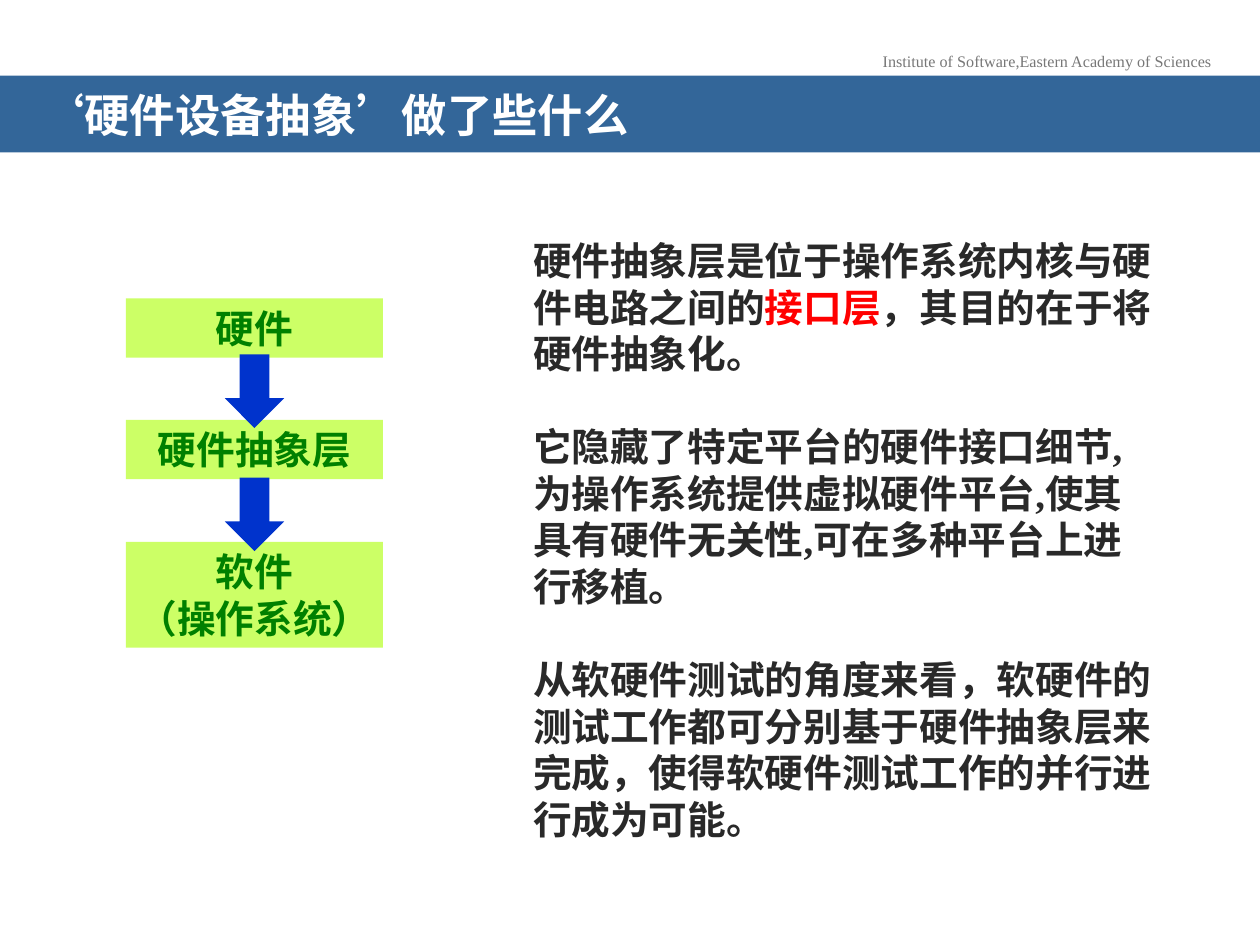
import dataclasses

import pptx
import pptx.dml.color
import pptx.enum.shapes
import pptx.enum.text
import pptx.oxml
import pptx.oxml.ns
import pptx.util

Pt = pptx.util.Pt
Align = pptx.enum.text.PP_ALIGN
Anchor = pptx.enum.text.MSO_ANCHOR
Preset = pptx.enum.shapes.MSO_SHAPE

COLORS = {
    "banner": "336699",
    "white": "FFFFFF",
    "institute": "777777",
    "layer": "CCFF66",
    "layer_text": "008000",
    "arrow": "0033CC",
    "body": "292929",
    "highlight": "FF0000",
}
SERIF = "Times New Roman"
SANS = "Noto Sans CJK SC"
TEXT_SIZE = 22.1
LINE_PITCH = 26.6


@dataclasses.dataclass
class Layer:
    label: str
    top: float
    height: float


LAYERS = [
    Layer("硬件", 170.6, 33.8),
    Layer("硬件抽象层", 240, 33.8),
    Layer("软件\n（操作系统）", 309.6, 60.5),
]
LAYER_LEFT, LAYER_WIDTH = 72, 146.9
ARROW_TOPS = [202.6, 273]
ARROW_WIDTH, ARROW_HEIGHT = 34, 42

EXPLANATION = [
    [
        ("硬件抽象层是位于操作系统内核与硬件电路之间的", "body"),
        ("接口层", "highlight"),
        ("，其目的在于将硬件抽象化。", "body"),
    ],
    [("它隐藏了特定平台的硬件接口细节,为操作系统提供虚拟硬件平台,使其具有硬件无关性,可在多种平台上进行移植。", "body")],
    [("从软硬件测试的角度来看，软硬件的测试工作都可分别基于硬件抽象层来完成，使得软硬件测试工作的并行进行成为可能。", "body")],
]


def rgb(color: str) -> pptx.dml.color.RGBColor:
    return pptx.dml.color.RGBColor.from_string(COLORS[color])


def place(shape, left: float, top: float, width: float, height: float) -> None:
    shape.left, shape.top = Pt(left), Pt(top)
    shape.width, shape.height = Pt(width), Pt(height)


def set_margins(frame, left: float, top: float, right: float, bottom: float) -> None:
    frame.margin_left, frame.margin_top = Pt(left), Pt(top)
    frame.margin_right, frame.margin_bottom = Pt(right), Pt(bottom)


def format_run(run, color: str, size: float = TEXT_SIZE, latin: str = SERIF, bold: bool = True) -> None:
    run.font.size = Pt(size)
    run.font.bold = bold
    run.font.name = latin
    run.font.color.rgb = rgb(color)
    east_asian = pptx.oxml.parse_xml(
        f'<a:ea {pptx.oxml.ns.nsdecls("a")} typeface="{SANS}"/>'
    )
    run.font._element.find(pptx.oxml.ns.qn("a:latin")).addnext(east_asian)


def add_solid(shapes, preset, color: str, left: float, top: float, width: float, height: float):
    solid = shapes.add_shape(preset, Pt(left), Pt(top), Pt(width), Pt(height))
    solid.fill.solid()
    solid.fill.fore_color.rgb = rgb(color)
    solid.line.fill.background()
    solid.shadow.inherit = False
    return solid


def add_layer(shapes, layer: Layer) -> None:
    box = add_solid(shapes, Preset.RECTANGLE, "layer", LAYER_LEFT, layer.top, LAYER_WIDTH, layer.height)
    frame = box.text_frame
    frame.text = layer.label
    frame.word_wrap = True
    frame.vertical_anchor = Anchor.TOP
    set_margins(frame, 6.5, 3.6, 6.5, 3.6)
    for paragraph in frame.paragraphs:
        paragraph.alignment = Align.CENTER
        paragraph.line_spacing = Pt(LINE_PITCH)
        format_run(paragraph.runs[0], "layer_text")


def add_layer_stack(slide) -> None:
    stack = slide.shapes.add_group_shape().shapes
    for layer in LAYERS:
        add_layer(stack, layer)
    arrow_left = LAYER_LEFT + (LAYER_WIDTH - ARROW_WIDTH) / 2
    for top in ARROW_TOPS:
        add_solid(stack, Preset.DOWN_ARROW, "arrow", arrow_left, top, ARROW_WIDTH, ARROW_HEIGHT)


def fill_title(title) -> None:
    place(title, 0, 43.2, 720, 43.9)
    title.fill.solid()
    title.fill.fore_color.rgb = rgb("banner")
    frame = title.text_frame
    frame.text = "‘硬件设备抽象’做了些什么"
    frame.auto_size = pptx.enum.text.MSO_AUTO_SIZE.NONE
    frame.vertical_anchor = Anchor.MIDDLE
    set_margins(frame, 22.3, 11.5, 22.3, 3.6)
    paragraph = frame.paragraphs[0]
    paragraph.alignment = Align.LEFT
    paragraph.line_spacing = 0.7
    format_run(paragraph.runs[0], "white", 25.9, SANS)


def fill_explanation(body) -> None:
    place(body, 297.4, 131.8, 371.5, 356.4)
    frame = body.text_frame
    frame.auto_size = pptx.enum.text.MSO_AUTO_SIZE.NONE
    frame.vertical_anchor = Anchor.TOP
    set_margins(frame, 7.2, 3.6, 7.2, 3.6)
    for index, pieces in enumerate(EXPLANATION):
        paragraph = frame.add_paragraph() if index else frame.paragraphs[0]
        paragraph.line_spacing = Pt(LINE_PITCH)
        paragraph.space_before = Pt(LINE_PITCH if index else 0)
        properties = paragraph._p.get_or_add_pPr()
        properties.set("marL", "0")
        properties.set("indent", "0")
        properties.append(pptx.oxml.parse_xml(f'<a:buNone {pptx.oxml.ns.nsdecls("a")}/>'))
        for text, color in pieces:
            run = paragraph.add_run()
            run.text = text
            format_run(run, color)


def add_institute(slide) -> None:
    institute = slide.shapes.add_textbox(Pt(494.6), Pt(25.9), Pt(207.4), Pt(18.7))
    frame = institute.text_frame
    frame.text = "Institute of Software,Eastern Academy of Sciences"
    frame.word_wrap = False
    frame.paragraphs[0].alignment = Align.CENTER
    format_run(frame.paragraphs[0].runs[0], "institute", 9.2, bold=False)


def main() -> None:
    deck = pptx.Presentation()
    deck.slide_width, deck.slide_height = Pt(720), Pt(540)
    slide = deck.slides.add_slide(deck.slide_layouts[1])
    fill_title(slide.shapes.title)
    fill_explanation(slide.placeholders[1])
    add_institute(slide)
    add_layer_stack(slide)
    deck.save("out.pptx")


if __name__ == "__main__":
    main()
